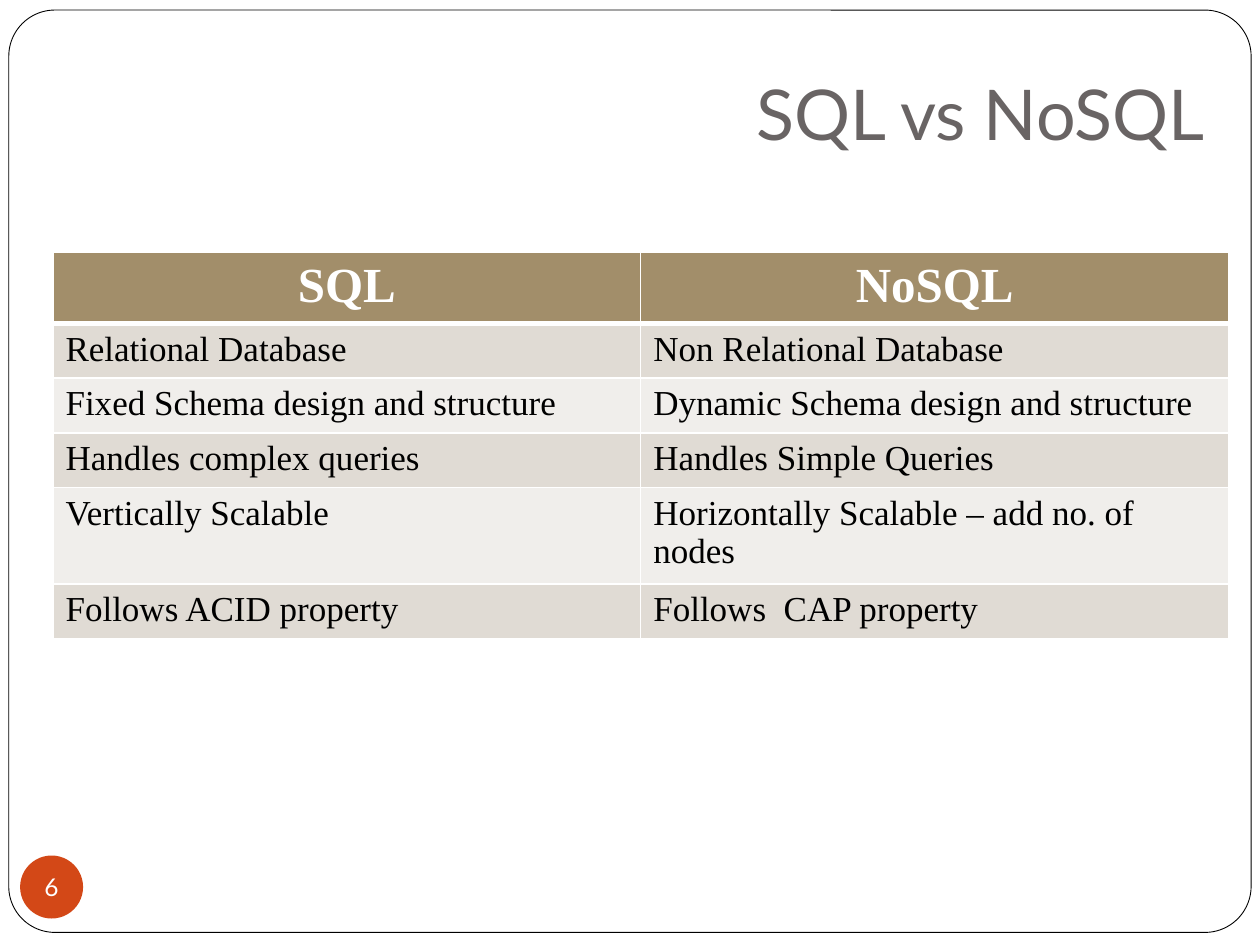
from lxml import etree
from pptx import Presentation
from pptx import util as u
from pptx.dml.color import RGBColor
from pptx.enum import shapes, text
from pptx.oxml.ns import qn

WHITE = "FFFFFF"
HEADER_FILL = "A28E6A"
BAND_FILLS = ["E0DBD4", "F0EEEB"]
ROWS = [
    ("SQL", "NoSQL"),
    ("Relational Database", "Non Relational Database"),
    ("Fixed Schema design and structure", "Dynamic Schema design and structure"),
    ("Handles complex queries", "Handles Simple Queries"),
    ("Vertically Scalable", "Horizontally Scalable – add no. of nodes"),
    ("Follows ACID property", "Follows  CAP property"),
]
TITLE = {"name": "Lato", "size": u.Pt(40)}
NUMBER = {"name": "Lato", "size": u.Pt(14)}
HEADER = {"name": "Times New Roman", "size": u.Pt(28), "bold": True}
BODY = {"name": "Times New Roman", "size": u.Pt(20), "bold": False}


def color(value):
    return RGBColor.from_string(value)


def place(left, top, width, height):
    return [u.Inches(length) for length in (left, top, width, height)]


def fill_with(item, value):
    item.fill.solid()
    item.fill.fore_color.rgb = color(value)


def set_all(item, values):
    for name, value in values.items():
        setattr(item, name, value)


def write(frame, words, font, ink, align):
    para = frame.paragraphs[0]
    para.alignment = align
    span = para.add_run()
    span.text = words
    set_all(span.font, font)
    span.font.color.rgb = color(ink)


def add_shape(slide, kind, position, fill):
    shape = slide.shapes.add_shape(kind, *place(*position))
    shape.shadow.inherit = False
    fill_with(shape, fill)
    shape.line.fill.background()
    return shape


def add_frame(slide):
    frame = add_shape(slide, shapes.MSO_SHAPE.ROUNDED_RECTANGLE,
                      (0.07, 0.08, 9.86, 7.32), WHITE)
    frame.adjustments[0] = 0.05
    frame.line.color.rgb = color("000000")
    frame.line.width = u.Pt(0.5)


def add_title(slide, words):
    box = slide.shapes.add_textbox(*place(0.33, 0.3, 9.33, 1.03))
    set_all(box.text_frame, {
        "word_wrap": True,
        "vertical_anchor": text.MSO_ANCHOR.BOTTOM,
        "margin_bottom": u.Inches(0.1),
    })
    write(box.text_frame, words, TITLE, "696464", text.PP_ALIGN.RIGHT)


def add_number(slide, words):
    badge = add_shape(slide, shapes.MSO_SHAPE.OVAL, (0.16, 6.79, 0.5, 0.5), "D34817")
    margins = {f"margin_{side}": 0 for side in ("left", "top", "right", "bottom")}
    set_all(badge.text_frame, margins | {
        "word_wrap": False,
        "vertical_anchor": text.MSO_ANCHOR.MIDDLE,
    })
    write(badge.text_frame, words, NUMBER, WHITE, text.PP_ALIGN.CENTER)


def add_borders(cell, widths):
    properties = cell._tc.get_or_add_tcPr()
    for index, (side, width) in enumerate(widths.items()):
        border = etree.Element(qn(f"a:ln{side}"), w=str(u.Pt(width)))
        fill = etree.SubElement(border, qn("a:solidFill"))
        etree.SubElement(fill, qn("a:srgbClr"), val=WHITE)
        properties.insert(index, border)


def add_table(slide, rows):
    position = place(0.42, 2, 9.33, 0.41 * len(rows))
    table = slide.shapes.add_table(len(rows), len(rows[0]), *position).table
    for row, entries in enumerate(rows):
        is_header = row == 0
        fill = HEADER_FILL if is_header else BAND_FILLS[(row - 1) % 2]
        font, ink = (HEADER, WHITE) if is_header else (BODY, "000000")
        align = text.PP_ALIGN.CENTER if is_header else text.PP_ALIGN.LEFT
        borders = {"L": 1, "R": 1, "T": 3 if row == 1 else 1, "B": 3 if is_header else 1}
        for column, words in enumerate(entries):
            cell = table.cell(row, column)
            fill_with(cell, fill)
            add_borders(cell, borders)
            write(cell.text_frame, words, font, ink, align)


def main():
    deck = Presentation()
    deck.slide_width, deck.slide_height = u.Inches(10), u.Inches(7.5)
    slide = deck.slides.add_slide(deck.slide_layouts[6])
    add_frame(slide)
    add_title(slide, "SQL vs NoSQL")
    add_number(slide, "6")
    add_table(slide, ROWS)
    deck.save("out.pptx")


if __name__ == "__main__":
    main()
